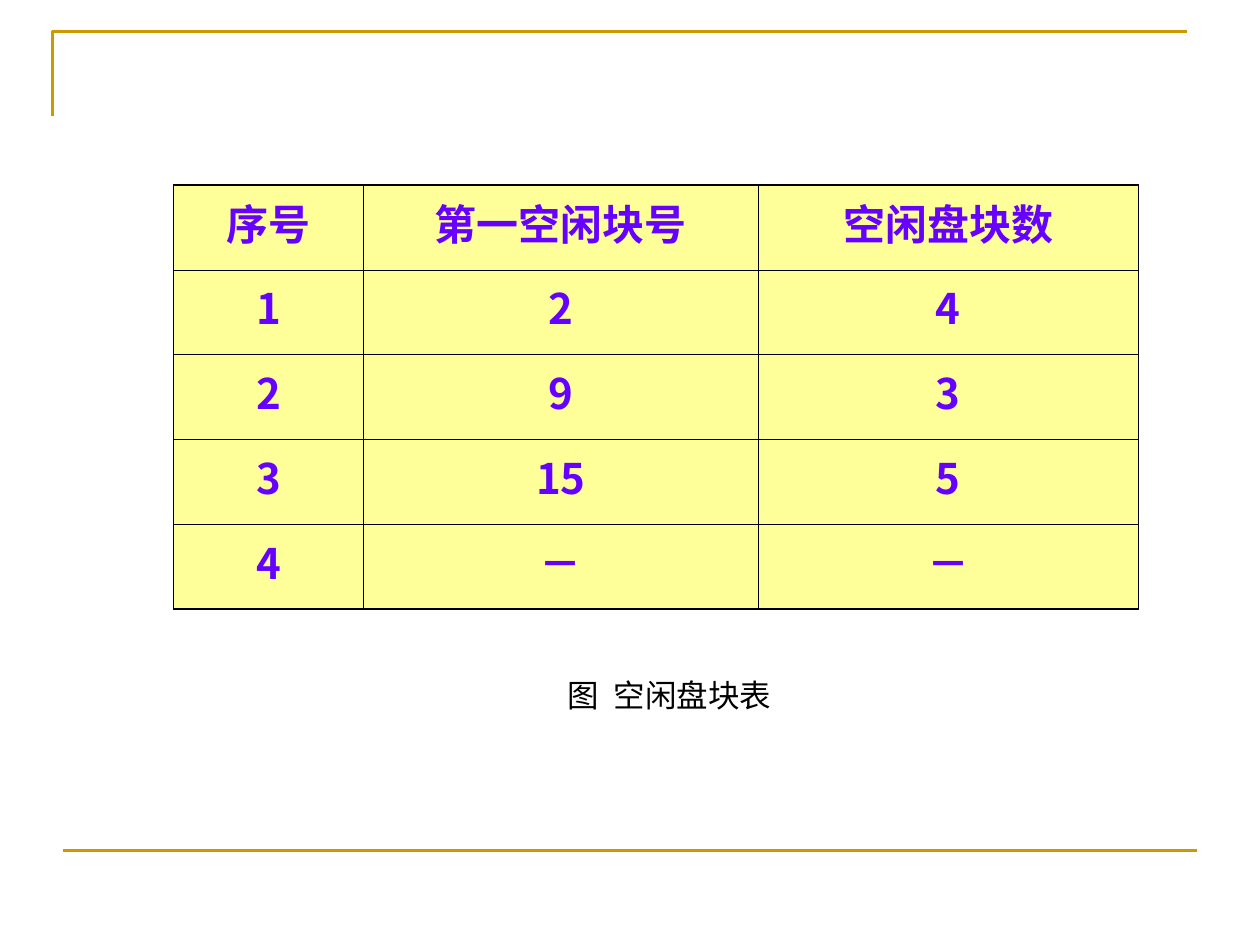
from lxml.etree import SubElement
from pptx import Presentation
from pptx.dml.color import RGBColor
from pptx.enum.shapes import MSO_CONNECTOR
from pptx.enum.text import MSO_AUTO_SIZE, PP_ALIGN
from pptx.oxml.ns import qn
from pptx.util import Cm, Pt

BLANK_LAYOUT = 6
ROWS = [
    ("序号", "第一空闲块号", "空闲盘块数"),
    ("1", "2", "4"),
    ("2", "9", "3"),
    ("3", "15", "5"),
    ("4", "－", "－"),
]


def color(hex_string):
    return RGBColor.from_string(hex_string)


class SlideBuilder:
    font_name = "Noto Sans CJK SC"
    gold, black, violet, yellow = "CC9900", "000000", "6600FF", "FFFF99"
    rule_width = 1.5
    outer_border, inner_border = 1.08, 0.45

    def __init__(self, slide):
        self.slide = slide

    def style_line(self, line):
        line.color.rgb = color(self.gold)
        line.width = Pt(self.rule_width)

    def style_paragraph(self, paragraph, size, hex_string, bold=False):
        font = paragraph.font
        font.name, font.size, font.bold = self.font_name, Pt(size), bold
        font.color.rgb = color(hex_string)
        defaults = paragraph._p.pPr.find(qn("a:defRPr"))
        SubElement(defaults, qn("a:ea"), typeface=self.font_name)

    def corner(self, left, top, right, bottom):
        """Draw an open angle along the left and top edges."""
        builder = self.slide.shapes.build_freeform(Cm(left), Cm(bottom))
        points = [(Cm(left), Cm(top)), (Cm(right), Cm(top))]
        builder.add_line_segments(points, close=False)
        shape = builder.convert_to_shape()
        shape.shadow.inherit = False
        shape.fill.background()
        self.style_line(shape.line)

    def horizontal_rule(self, left, right, y):
        connector = self.slide.shapes.add_connector(
            MSO_CONNECTOR.STRAIGHT, Cm(left), Cm(y), Cm(right), Cm(y))
        self.style_line(connector.line)
        SubElement(connector._element.spPr, qn("a:effectLst"))

    def caption(self, text, left, top, width, height):
        box = self.slide.shapes.add_textbox(Cm(left), Cm(top), Cm(width), Cm(height))
        frame = box.text_frame
        frame.word_wrap = False
        frame.auto_size = MSO_AUTO_SIZE.SHAPE_TO_FIT_TEXT
        frame.text = text
        self.style_paragraph(frame.paragraphs[0], 18, self.black)

    def cell_border(self, cell, side, width):
        properties = cell._tc.get_or_add_tcPr()
        line = SubElement(properties, qn(f"a:ln{side}"), w=str(Pt(width)))
        fill = SubElement(line, qn("a:solidFill"))
        SubElement(fill, qn("a:srgbClr"), val=self.black)

    def table(self, rows, left, top, column_widths, row_height):
        last_row, last_column = len(rows) - 1, len(column_widths) - 1
        table = self.slide.shapes.add_table(
            len(rows), len(column_widths), Cm(left), Cm(top),
            Cm(sum(column_widths)), Cm(row_height * len(rows))).table
        for column, width in zip(table.columns, column_widths):
            column.width = Cm(width)
        for r, texts in enumerate(rows):
            table.rows[r].height = Cm(row_height)
            for c, text in enumerate(texts):
                cell = table.cell(r, c)
                outer_sides = {"L": c == 0, "R": c == last_column,
                               "T": r == 0, "B": r == last_row}
                for side, is_outer in outer_sides.items():
                    self.cell_border(
                        cell, side, self.outer_border if is_outer else self.inner_border)
                cell.fill.solid()
                cell.fill.fore_color.rgb = color(self.yellow)
                cell.text = text
                paragraph = cell.text_frame.paragraphs[0]
                paragraph.alignment = PP_ALIGN.CENTER
                self.style_paragraph(paragraph, 24, self.violet, bold=True)


def main():
    presentation = Presentation()
    presentation.slide_width, presentation.slide_height = Cm(25.4), Cm(19.05)
    layout = presentation.slide_layouts[BLANK_LAYOUT]
    builder = SlideBuilder(presentation.slides.add_slide(layout))
    builder.corner(left=1.06, top=0.64, right=23.92, bottom=2.33)
    builder.horizontal_rule(left=1.27, right=24.13, y=17.15)
    builder.caption("图  空闲盘块表", left=11.2, top=13.51, width=4.75, height=1.02)
    builder.table(ROWS, left=3.5, top=3.73,
                  column_widths=[3.83, 7.95, 7.67], row_height=1.71)
    presentation.save("out.pptx")


if __name__ == "__main__":
    main()
